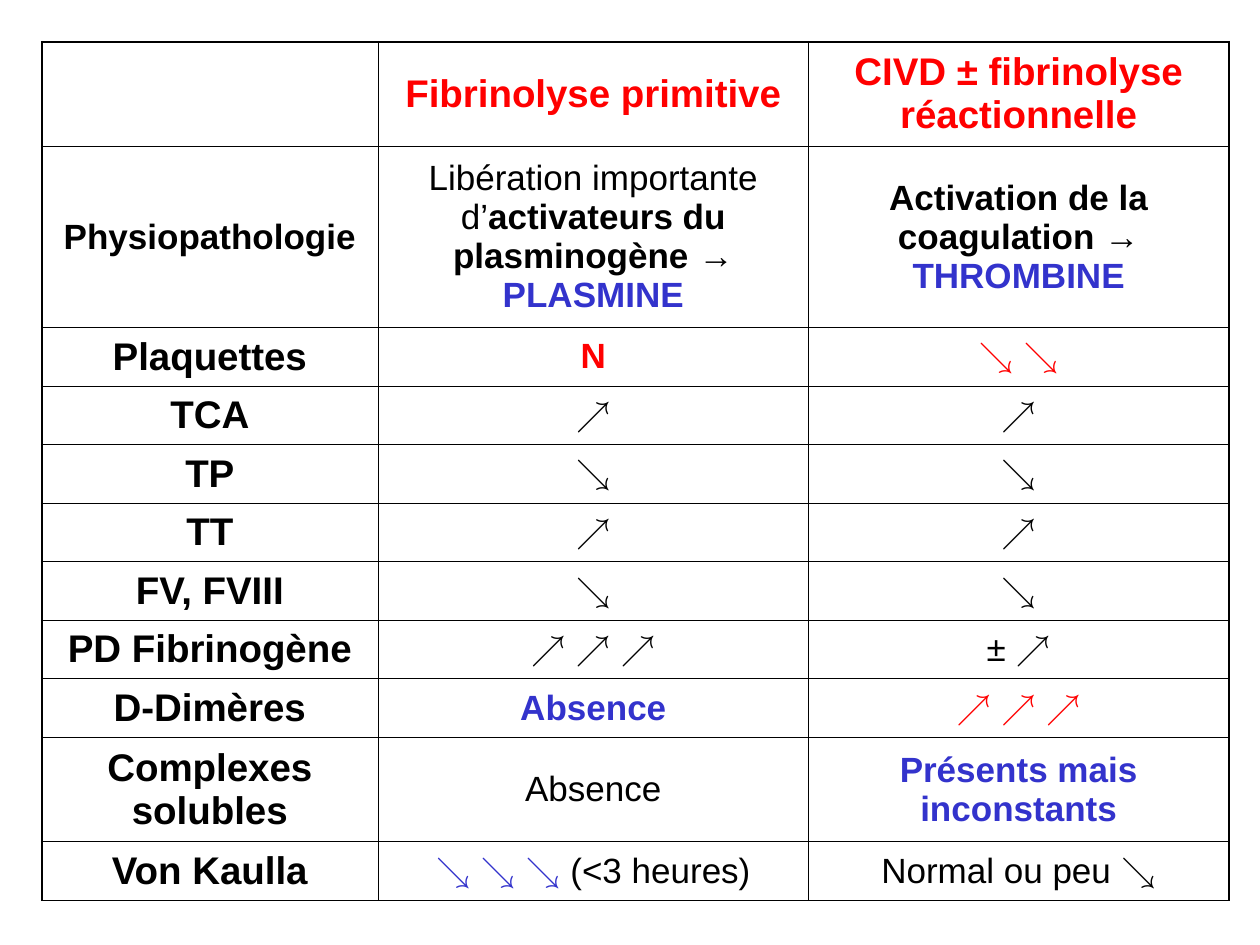
import pptx
import pptx.dml.color
import pptx.enum.text
import pptx.oxml.ns
import pptx.util
from dataclasses import dataclass
from lxml import etree


@dataclass(frozen=True)
class Theme:
    font: str = "Arial"
    black: str = "000000"
    red: str = "FF0000"
    blue: str = "3333CC"
    heading_size: int = 22
    body_size: int = 20
    outer_line: float = 1.08
    inner_line: float = 0.45


class ComparisonSlide:
    def __init__(self, presentation, theme):
        self.theme = theme
        self.slide = presentation.slides.add_slide(presentation.slide_layouts[6])

    def border(self, cell, side, width):
        qn = pptx.oxml.ns.qn
        properties = cell._tc.get_or_add_tcPr()
        line = etree.SubElement(properties, qn(f"a:ln{side}"), w=str(pptx.util.Pt(width)))
        fill = etree.SubElement(line, qn("a:solidFill"))
        etree.SubElement(fill, qn("a:srgbClr"), val=self.theme.black)

    def cell_text(self, cell, parts, size):
        cell.vertical_anchor = pptx.enum.text.MSO_ANCHOR.MIDDLE
        paragraph = cell.text_frame.paragraphs[0]
        paragraph.alignment = pptx.enum.text.PP_ALIGN.CENTER
        paragraph.font.size = pptx.util.Pt(size)
        for words, color, bold in parts:
            run = paragraph.add_run()
            run.text = words
            run.font.name = self.theme.font
            run.font.size = pptx.util.Pt(size)
            run.font.bold = bold
            run.font.color.rgb = pptx.dml.color.RGBColor.from_string(color)

    def table(self, left, top, widths, heights, rows):
        cm, theme = pptx.util.Cm, self.theme
        frame = self.slide.shapes.add_table(
            len(heights), len(widths), cm(left), cm(top), cm(sum(widths)), cm(sum(heights)))
        table = frame.table
        table.first_row = table.horz_banding = False
        for column, width in zip(table.columns, widths):
            column.width = cm(width)
        for row, height in zip(table.rows, heights):
            row.height = cm(height)
        last_row, last_column = len(heights) - 1, len(widths) - 1
        for r, row in enumerate(rows):
            for c, (parts, size) in enumerate(row):
                cell = table.cell(r, c)
                edges = {"L": c == 0, "R": c == last_column, "T": r == 0, "B": r == last_row}
                for side, is_outer in edges.items():
                    self.border(cell, side, theme.outer_line if is_outer else theme.inner_line)
                cell.fill.background()
                self.cell_text(cell, parts, size)


def main():
    theme = Theme()

    def plain(words):
        return words, theme.black, False

    def strong(words, color=theme.black):
        return words, color, True

    def heading(*parts):
        return parts, theme.heading_size

    def body(*parts):
        return parts, theme.body_size

    def test(label, primitive, reactive):
        return heading(strong(label)), body(*primitive), body(*reactive)

    rising, falling = [plain("↗")], [plain("↘")]
    rows = [
        (heading(),
         heading(strong("Fibrinolyse primitive", theme.red)),
         heading(strong("CIVD ± fibrinolyse réactionnelle", theme.red))),
        (body(strong("Physiopathologie")),
         body(plain("Libération importante d’"), strong("activateurs du plasminogène "),
              plain("→ "), strong("PLASMINE", theme.blue)),
         body(strong("Activation de la coagulation "), plain("→ "),
              strong("THROMBINE", theme.blue))),
        test("Plaquettes", [strong("N", theme.red)], [strong("↘ ↘", theme.red)]),
        test("TCA", rising, rising),
        test("TP", falling, falling),
        test("TT", rising, rising),
        test("FV, FVIII", falling, falling),
        test("PD Fibrinogène", [plain("↗ ↗ ↗")], [plain("± ↗")]),
        test("D-Dimères", [strong("Absence", theme.blue)], [strong("↗ ↗ ↗", theme.red)]),
        test("Complexes solubles", [plain("Absence")],
             [strong("Présents mais inconstants", theme.blue)]),
        test("Von Kaulla", [strong("↘ ↘ ↘", theme.blue), plain(" (<3 heures)")],
             [plain("Normal ou peu ↘")]),
    ]
    tall, single = 2.11, 1.18
    heights = [tall, 3.65] + [single] * 7 + [tall, single]

    presentation = pptx.Presentation()
    presentation.slide_width = pptx.util.Cm(25.4)
    presentation.slide_height = pptx.util.Cm(19.05)
    comparison = ComparisonSlide(presentation, theme)
    comparison.table(0.84, 0.84, [6.78, 8.68, 8.47], heights, rows)
    presentation.save("out.pptx")


if __name__ == "__main__":
    main()
